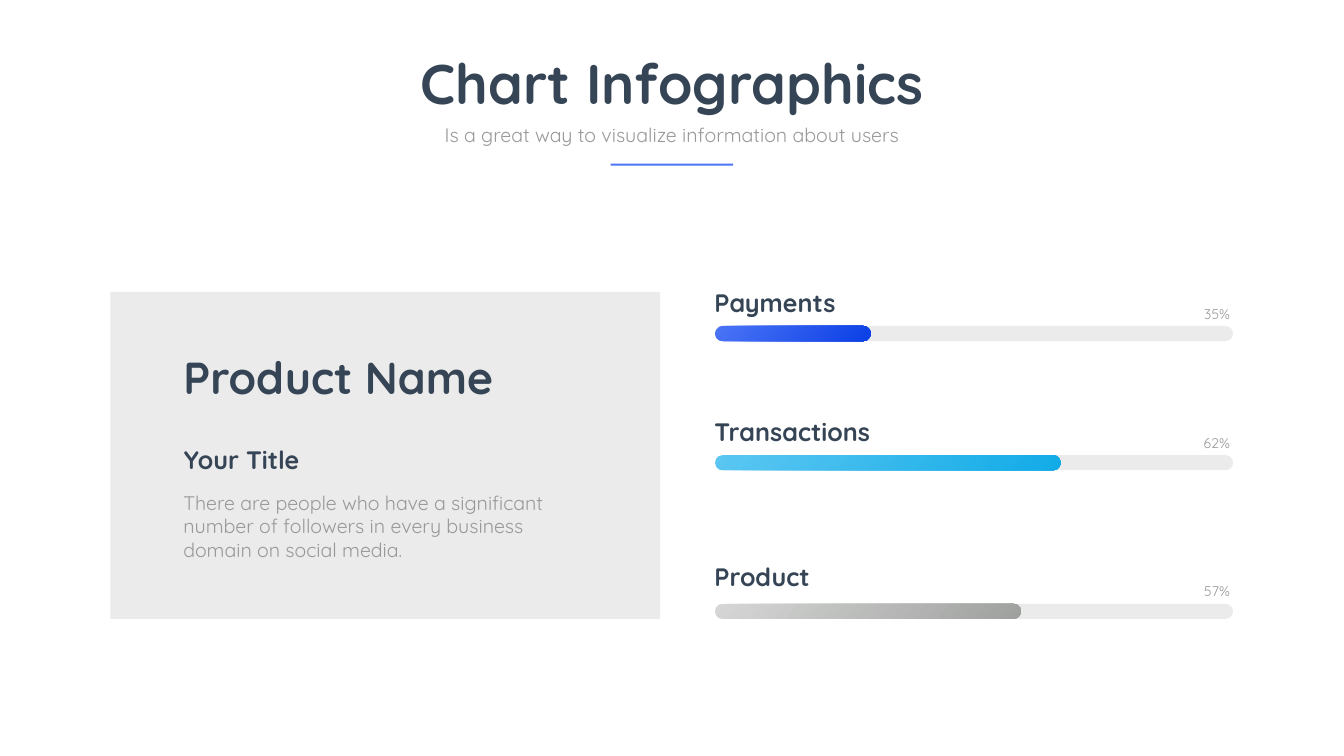
from dataclasses import dataclass

from pptx import Presentation
from pptx.dml.color import RGBColor
from pptx.enum.shapes import MSO_SHAPE
from pptx.enum.text import MSO_ANCHOR, MSO_AUTO_SIZE, PP_ALIGN
from pptx.util import Cm, Pt

RECTANGLE, ROUNDED = MSO_SHAPE.RECTANGLE, MSO_SHAPE.ROUNDED_RECTANGLE
LEFT, CENTER, RIGHT = PP_ALIGN.LEFT, PP_ALIGN.CENTER, PP_ALIGN.RIGHT
TOP, MIDDLE = MSO_ANCHOR.TOP, MSO_ANCHOR.MIDDLE
NO_RESIZE = MSO_AUTO_SIZE.NONE
TITLE_ONLY = 5


@dataclass(frozen=True)
class Theme:
    font: str = "Quicksand"
    dark: str = "364556"
    muted: str = "999999"
    panel: str = "EBEBEB"
    accent: str = "4B74F6"
    blue: tuple = ("4B74F6", "0B40E5")
    sky: tuple = ("5BC7F2", "12ABE7")
    gray: tuple = ("D5D6D5", "9FA19F")
    title: int = 80
    name: int = 64
    heading: int = 36
    body: int = 28
    small: int = 20


THEME = Theme()
BAR_LEFT, BAR_WIDTH, BAR_HEIGHT = 36.04, 26.11, 0.76
TIGHT_INSETS = (0.15, 0.15)
GRADIENT_ANGLE = 360 - 38


def place(shape, left, top, width, height):
    shape.left, shape.top = Cm(left), Cm(top)
    shape.width, shape.height = Cm(width), Cm(height)


def write(box, text, *, size, color=THEME.dark, bold=False, align=LEFT,
          anchor=TOP, spacing=1.0, insets=(0.25, 0.13)):
    frame = box.text_frame
    frame.word_wrap = True
    frame.auto_size = NO_RESIZE
    frame.vertical_anchor = anchor
    frame.margin_left = frame.margin_right = Cm(insets[0])
    frame.margin_top = frame.margin_bottom = Cm(insets[1])
    para = frame.paragraphs[0]
    para.alignment = align
    para.line_spacing = spacing
    span = para.add_run()
    span.text = text
    span.font.name = THEME.font
    span.font.size = Pt(size)
    span.font.bold = bold
    span.font.color.rgb = RGBColor.from_string(color)


def add_text(page, area, text, **style):
    box = page.shapes.add_textbox(*map(Cm, area))
    write(box, text, **style)


def add_block(page, area, color, kind=RECTANGLE):
    block = page.shapes.add_shape(kind, *map(Cm, area))
    block.shadow.inherit = False
    block.line.fill.background()
    if kind == ROUNDED:
        block.adjustments[0] = 0.5
    if isinstance(color, tuple):
        block.fill.gradient()
        block.fill.gradient_angle = GRADIENT_ANGLE
        for stop, shade in zip(block.fill.gradient_stops, color):
            stop.color.rgb = RGBColor.from_string(shade)
    else:
        block.fill.solid()
        block.fill.fore_color.rgb = RGBColor.from_string(color)


def add_progress(page, top, label, percent, filled, colors, label_spacing=1.0):
    add_block(page, (BAR_LEFT, top, BAR_WIDTH, BAR_HEIGHT), THEME.panel, ROUNDED)
    add_block(page, (BAR_LEFT, top, filled, BAR_HEIGHT), colors, ROUNDED)
    add_text(page, (BAR_LEFT - 0.18, top - 2.11, 16.36, 1.78), label,
             size=THEME.heading, bold=True, spacing=label_spacing,
             insets=TIGHT_INSETS)
    add_text(page, (BAR_LEFT + BAR_WIDTH - 3.12, top - 1.11, 3.12, 1.09), percent,
             size=THEME.small, color=THEME.muted, align=RIGHT, spacing=0.9,
             insets=TIGHT_INSETS)


def add_header(page):
    title = page.shapes.title
    place(title, 17.48, 2.29, 32.79, 3.68)
    write(title, "Chart Infographics", size=THEME.title, bold=True, align=CENTER)
    add_text(page, (21.72, 6.05, 24.28, 1.45),
             "Is a great way to visualize information about users",
             size=THEME.body, color=THEME.muted, align=CENTER)
    add_block(page, (30.78, 8.25, 6.17, 0.1), THEME.accent)


def add_product_card(page):
    add_block(page, (5.56, 14.71, 27.71, 16.48), THEME.panel)
    add_text(page, (9.09, 17.48, 17.55, 3.02), "Product Name",
             size=THEME.name, bold=True, anchor=MIDDLE, insets=TIGHT_INSETS)
    add_text(page, (9.02, 22.25, 16, 1.8), "Your Title",
             size=THEME.heading, bold=True)
    add_text(page, (8.99, 24.59, 20.8, 3.84),
             "There are people who have a significant number of followers "
             "in every business domain on social media.",
             size=THEME.body, color=THEME.muted)


def main():
    deck = Presentation()
    deck.slide_width, deck.slide_height = Cm(67.74), Cm(38.1)
    page = deck.slides.add_slide(deck.slide_layouts[TITLE_ONLY])
    add_header(page)
    add_product_card(page)
    add_progress(page, 16.43, "Payments", "35%", 7.85, THEME.blue)
    add_progress(page, 22.94, "Transactions", "62%", 17.42, THEME.sky)
    add_progress(page, 30.43, "Product", "57%", 15.42, THEME.gray,
                 label_spacing=0.9)
    deck.save("out.pptx")


if __name__ == "__main__":
    main()
